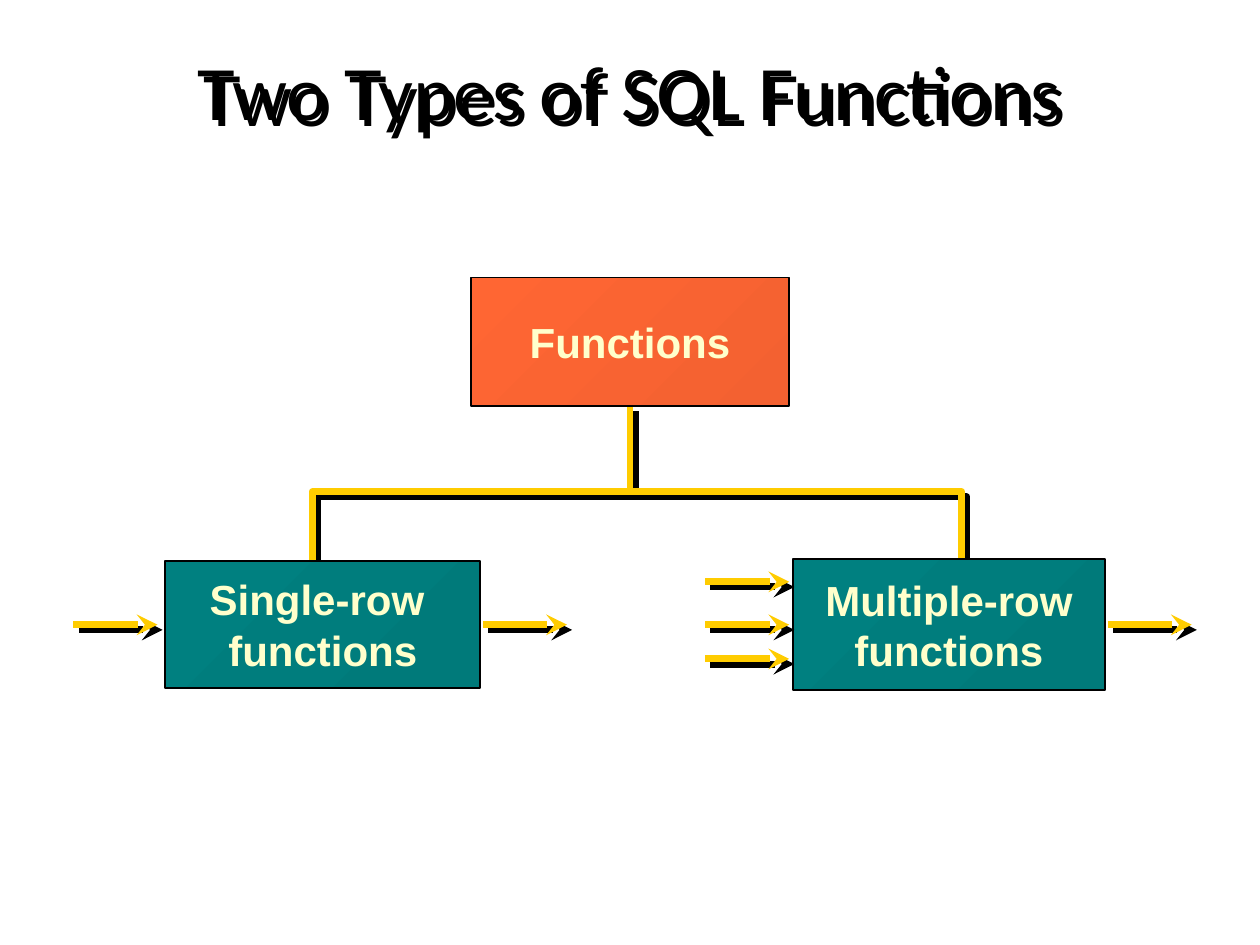
from dataclasses import dataclass

from lxml.etree import SubElement
from pptx import Presentation
from pptx.dml.color import RGBColor
from pptx.enum.shapes import MSO_CONNECTOR, MSO_SHAPE
from pptx.enum.text import MSO_ANCHOR, MSO_AUTO_SIZE, PP_ALIGN
from pptx.oxml.ns import qn
from pptx.util import Pt


@dataclass(frozen=True)
class Theme:
    black: str = "000000"
    gold: str = "FFCC00"
    cream: str = "FFFFCC"
    orange: tuple = ("FF6633", "F36131")
    teal: tuple = ("008080", "007A7A")
    title_font: str = "Calibri"
    label_font: str = "Arial"
    title_size: int = 44
    label_size: int = 24
    line_width: int = 4
    arrow_length: int = 48


THEME = Theme()


def rgb(value):
    return RGBColor.from_string(value)


def add_shadow(sp):
    """Give a shape a hard black shadow to the lower right."""
    effects = SubElement(sp._element.spPr, qn("a:effectLst"))
    shadow = SubElement(effects, qn("a:outerShdw"), dist=str(Pt(4.2)),
                        dir="2700000", algn="ctr", rotWithShape="0")
    SubElement(shadow, qn("a:srgbClr"), val=THEME.black)


def add_run(p, text, font, size, color, bold=False):
    r = p.add_run()
    r.text = text
    r.font.name = font
    r.font.size = Pt(size)
    r.font.bold = bold
    r.font.color.rgb = rgb(color)


def style_line(sp):
    sp.line.color.rgb = rgb(THEME.gold)
    sp.line.width = Pt(THEME.line_width)
    add_shadow(sp)


def set_title(slide, text):
    sp = slide.shapes.title
    sp.left, sp.top, sp.width, sp.height = Pt(36), Pt(21.5), Pt(648), Pt(90)
    tf = sp.text_frame
    tf.auto_size = MSO_AUTO_SIZE.NONE
    tf.vertical_anchor = MSO_ANCHOR.TOP
    p = tf.paragraphs[0]
    p.alignment = PP_ALIGN.CENTER
    add_run(p, text, THEME.title_font, THEME.title_size, THEME.black)
    add_shadow(sp)


def add_line(shapes, x1, y1, x2, y2):
    line = shapes.add_connector(MSO_CONNECTOR.STRAIGHT,
                                Pt(x1), Pt(y1), Pt(x2), Pt(y2))
    style_line(line)
    return line


def add_bracket(slide, points):
    (x, y), *rest = [(Pt(px), Pt(py)) for px, py in points]
    builder = slide.shapes.build_freeform(x, y)
    builder.add_line_segments(rest, close=False)
    sp = builder.convert_to_shape()
    sp.fill.background()
    style_line(sp)


def add_box(slide, x, y, w, h, lines, colors):
    sp = slide.shapes.add_shape(MSO_SHAPE.RECTANGLE, Pt(x), Pt(y), Pt(w), Pt(h))
    sp.shadow.inherit = False
    sp.fill.gradient()
    sp.fill.gradient_angle = 315
    for stop, color, position in zip(sp.fill.gradient_stops, colors, (0, 1)):
        stop.color.rgb = rgb(color)
        stop.position = position
    sp.line.color.rgb = rgb(THEME.black)
    sp.line.width = Pt(1)
    tf = sp.text_frame
    tf.word_wrap = False
    tf.vertical_anchor = MSO_ANCHOR.MIDDLE
    for i, text in enumerate(lines):
        p = tf.add_paragraph() if i else tf.paragraphs[0]
        p.alignment = PP_ALIGN.CENTER
        add_run(p, text, THEME.label_font, THEME.label_size, THEME.cream, True)
    return sp


def add_arrows(slide, starts):
    """Group equal arrows that point right from the given starts."""
    group = slide.shapes.add_group_shape()
    for x, y in starts:
        arrow = add_line(group.shapes, x, y, x + THEME.arrow_length, y)
        SubElement(arrow.line._get_or_add_ln(), qn("a:tailEnd"), type="stealth")


def main():
    prs = Presentation()
    prs.slide_width, prs.slide_height = Pt(720), Pt(540)
    slide = prs.slides.add_slide(prs.slide_layouts[5])
    set_title(slide, "Two Types of SQL Functions")

    # Tree lines, behind the boxes
    stem = add_line(slide.shapes, 360, 282.5, 360, 232)
    add_bracket(slide, [(178.5, 320), (178.5, 281), (549.5, 281), (549.5, 322.5)])

    # Boxes
    root = add_box(slide, 269, 158.5, 182, 73.5, ["Functions"], THEME.orange)
    stem.end_connect(root, 2)
    add_box(slide, 94.5, 320.5, 180, 72.5, ["Single-row ", "functions"], THEME.teal)
    add_box(slide, 453, 319.5, 178.5, 75, ["Multiple-row", "functions"], THEME.teal)

    # Arrows in and out: one row each, then many rows to one
    middle = 357
    add_arrows(slide, [(42, middle), (276, middle)])
    add_arrows(slide, [(403, middle), (633, middle), (403, 332.5), (403, 376.5)])

    prs.save("out.pptx")


if __name__ == "__main__":
    main()
